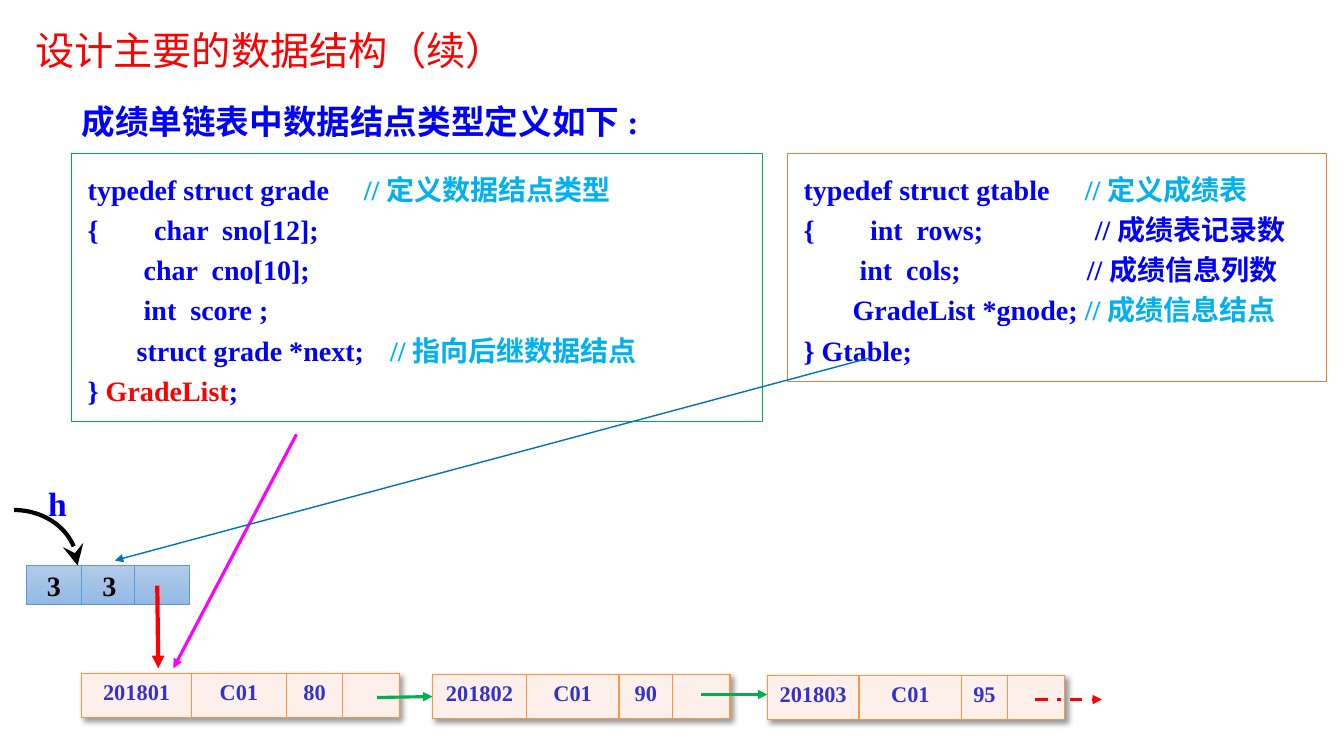
import math

from lxml import etree
from pptx import Presentation
from pptx import util as u
from pptx.dml.color import RGBColor
from pptx.enum import dml, shapes, text
from pptx.oxml import ns

COLORS = {
    "white": "FFFFFF", "black": "000000", "red": "FF0000", "blue": "0000FF",
    "comment": "00B0F0", "green": "00B050", "orange": "ED7D31", "magenta": "FF00FF",
    "link": "0070C0", "head_top": "B1CBE9", "head_bottom": "93B9E4",
    "head_line": "5B9BD5", "node": "FDEFE9", "node_line": "F79646", "node_text": "3333CC",
}
LATIN, HAN = "Times New Roman", "Noto Sans CJK SC"
COLUMNS, ROWS = 133.3, 75  # grid cells of a tenth of an inch


def rgb(name):
    return RGBColor.from_string(COLORS[name])


def add_xml(parent, tag, **attributes):
    return etree.SubElement(parent, ns.qn(tag), attributes)


def write(para, words, size=20, color="blue", bold=True, font=LATIN):
    span = para.add_run()
    span.text = words
    span.font.size, span.font.bold, span.font.name = u.Pt(size), bold, font
    span.font.color.rgb = rgb(color)
    add_xml(span.font._element, "a:ea", typeface=HAN)


class SlideMaker:
    def __init__(self, deck):
        deck.slide_width, deck.slide_height = u.Inches(13.33), u.Inches(7.5)
        self.column = deck.slide_width / COLUMNS
        self.row = deck.slide_height / ROWS
        self.slide = deck.slides.add_slide(deck.slide_layouts[5])

    def across(self, columns):
        return u.Emu(round(columns * self.column))

    def down(self, rows):
        return u.Emu(round(rows * self.row))

    def area(self, left, top, width, height):
        return self.across(left), self.down(top), self.across(width), self.down(height)

    def title(self, area, words):
        box = self.slide.shapes.title
        box.left, box.top, box.width, box.height = self.area(*area)
        box.text_frame.auto_size = text.MSO_AUTO_SIZE.NONE
        para = box.text_frame.paragraphs[0]
        para.alignment = text.PP_ALIGN.LEFT
        write(para, words, size=28, color="red", bold=False, font=HAN)

    def label(self, area, words):
        frame = self.slide.shapes.add_textbox(*self.area(*area)).text_frame
        frame.word_wrap = True
        write(frame.paragraphs[0], words, size=24)

    def rectangle(self, area, line):
        box = self.slide.shapes.add_shape(shapes.MSO_SHAPE.RECTANGLE, *self.area(*area))
        box.shadow.inherit = False
        box.line.color.rgb, box.line.width = rgb(line), u.Pt(0.5)
        return box

    def code(self, area, line, lines):
        """Each line is a list of tab stops in columns, then (words, color) spans."""
        box = self.rectangle(area, line)
        box.fill.solid()
        box.fill.fore_color.rgb = rgb("white")
        frame = box.text_frame
        frame.word_wrap, frame.vertical_anchor = True, text.MSO_ANCHOR.TOP
        frame.margin_left = frame.margin_right = self.across(1.6)
        frame.margin_top = frame.margin_bottom = self.down(1.2)
        for index, (stops, *spans) in enumerate(lines):
            para = frame.add_paragraph() if index else frame.paragraphs[0]
            para.alignment, para.line_spacing = text.PP_ALIGN.LEFT, 1.2
            if stops:
                tabs = add_xml(para._p.get_or_add_pPr(), "a:tabLst")
                for stop in stops:
                    add_xml(tabs, "a:tab", pos=str(self.across(stop)), algn="l")
            for words, color in spans:
                write(para, words, color=color)

    def head_cell(self, area, words):
        box = self.rectangle(area, "head_line")
        box.fill.gradient()
        box.fill.gradient_angle = 270
        for stop, color in zip(box.fill.gradient_stops, ("head_top", "head_bottom")):
            stop.color.rgb = rgb(color)
        if words:
            box.text_frame.word_wrap = False
            para = box.text_frame.paragraphs[0]
            para.alignment = text.PP_ALIGN.CENTER
            write(para, words, color="black")

    def style_line(self, shape, color, width, head="triangle", size="med"):
        shape.line.color.rgb, shape.line.width = rgb(color), u.Pt(width)
        add_xml(shape.line._get_or_add_ln(), "a:tailEnd", type=head, w=size, len=size)

    def arrow(self, start, end, color, width, dash=None):
        arrow = self.slide.shapes.add_connector(
            shapes.MSO_CONNECTOR.STRAIGHT, self.across(start[0]), self.down(start[1]),
            self.across(end[0]), self.down(end[1]))
        if dash:
            arrow.line.dash_style = dash
        self.style_line(arrow, color, width)
        add_xml(arrow._element.spPr, "a:effectLst")

    def curved_arrow(self, left, top, width, height, color, steps=24):
        angles = [math.pi / 2 * step / steps for step in range(steps + 1)]
        points = [(self.across(left + width * math.sin(angle)),
                   self.down(top + height * (1 - math.cos(angle)))) for angle in angles]
        builder = self.slide.shapes.build_freeform(*points[0])
        builder.add_line_segments(points[1:], close=False)
        curve = builder.convert_to_shape()
        curve.shadow.inherit = False
        curve.fill.background()
        self.style_line(curve, color, 3, head="stealth", size="lg")

    def node(self, left, top, widths, values):
        area = self.area(left, top, sum(widths), 4.3)
        table = self.slide.shapes.add_table(1, len(widths), *area).table
        table.first_row = table.horz_banding = False
        # Soft shadow below the node
        effects = etree.Element(ns.qn("a:effectLst"))
        shadow = add_xml(effects, "a:outerShdw", blurRad="50800", dist="38100",
                         dir="2700000", algn="tl", rotWithShape="0")
        add_xml(add_xml(shadow, "a:prstClr", val="black"), "a:alpha", val="40000")
        table._tbl.tblPr.insert(0, effects)
        for index, (width, value) in enumerate(zip(widths, values)):
            table.columns[index].width = self.across(width)
            cell = table.cell(0, index)
            cell.margin_top = cell.margin_bottom = self.down(0.7)
            for side in ("a:lnL", "a:lnR", "a:lnT", "a:lnB"):
                border = add_xml(cell._tc.get_or_add_tcPr(), side, w=str(u.Pt(1)))
                add_xml(add_xml(border, "a:solidFill"), "a:srgbClr", val=COLORS["node_line"])
            cell.fill.solid()
            cell.fill.fore_color.rgb = rgb("node")
            para = cell.text_frame.paragraphs[0]
            para.alignment = text.PP_ALIGN.CENTER
            if value:
                write(para, value, size=16, color="node_text")


def main():
    deck = Presentation()
    page = SlideMaker(deck)

    # Headings
    page.title((2.5, 2.1, 60.3, 5.7), "设计主要的数据结构（续）")
    page.label((7.1, 9.5, 64.1, 5.1), "成绩单链表中数据结点类型定义如下:")

    # Type definitions
    page.code((7.1, 15.2, 68.5, 26.6), "green", [
        ([27.4], ("typedef struct grade\t", "blue"), ("//定义数据结点类型", "comment")),
        ([6.6], ("{\tchar  sno[12];", "blue")),
        ([], ("        char  cno[10];", "blue")),
        ([], ("        int  score ;", "blue")),
        ([30], ("       struct grade *next;\t", "blue"), ("//指向后继数据结点", "comment")),
        ([], ("} ", "blue"), ("GradeList", "red"), (";", "blue")),
    ])
    page.code((78.1, 15.2, 53.5, 22.6), "orange", [
        ([27.9], ("typedef struct gtable\t", "blue"), ("//定义成绩表", "comment")),
        ([6.6, 28.9], ("{\tint  rows;\t//成绩表记录数", "blue")),
        ([28.1], ("        int  cols;\t//成绩信息列数", "blue")),
        ([], ("       GradeList *gnode; ", "blue"), ("//成绩信息结点", "comment")),
        ([], ("} Gtable;", "blue")),
    ])

    # Table head: rows, columns, pointer
    for left, words in ((2.6, "3"), (8.1, "3"), (13.3, "")):
        page.head_cell((left, 56.1, 5.5, 3.9), words)
    page.curved_arrow(1.4, 50.6, 6.3, 5.5, "black")
    page.label((3.8, 47.4, 7.6, 5), "h")

    # Linked nodes
    page.node(8.1, 66.8, (10.9, 9.4, 5.6, 5.6), ("201801", "C01", "80", ""))
    page.node(42.9, 66.9, (9.3, 9.2, 5.3, 5.7), ("201802", "C01", "90", ""))
    page.node(76.1, 67, (9.1, 10.2, 4.5, 5.7), ("201803", "C01", "95", ""))

    # Pointers
    page.arrow((15.6, 58.1), (15.7, 66.3), "red", 3)
    page.arrow((29.4, 43.1), (17.2, 66.3), "magenta", 2.25)
    page.arrow((86.3, 35.5), (11.4, 55.6), "link", 1)
    page.arrow((37.4, 69.2), (42.9, 69.1), "green", 2.25)
    page.arrow((69.5, 68.9), (76.1, 68.9), "green", 2.25)
    page.arrow((102.7, 69.4), (109.3, 69.4), "red", 2.25, dml.MSO_LINE.DASH_DOT)

    deck.save("out.pptx")


if __name__ == "__main__":
    main()
